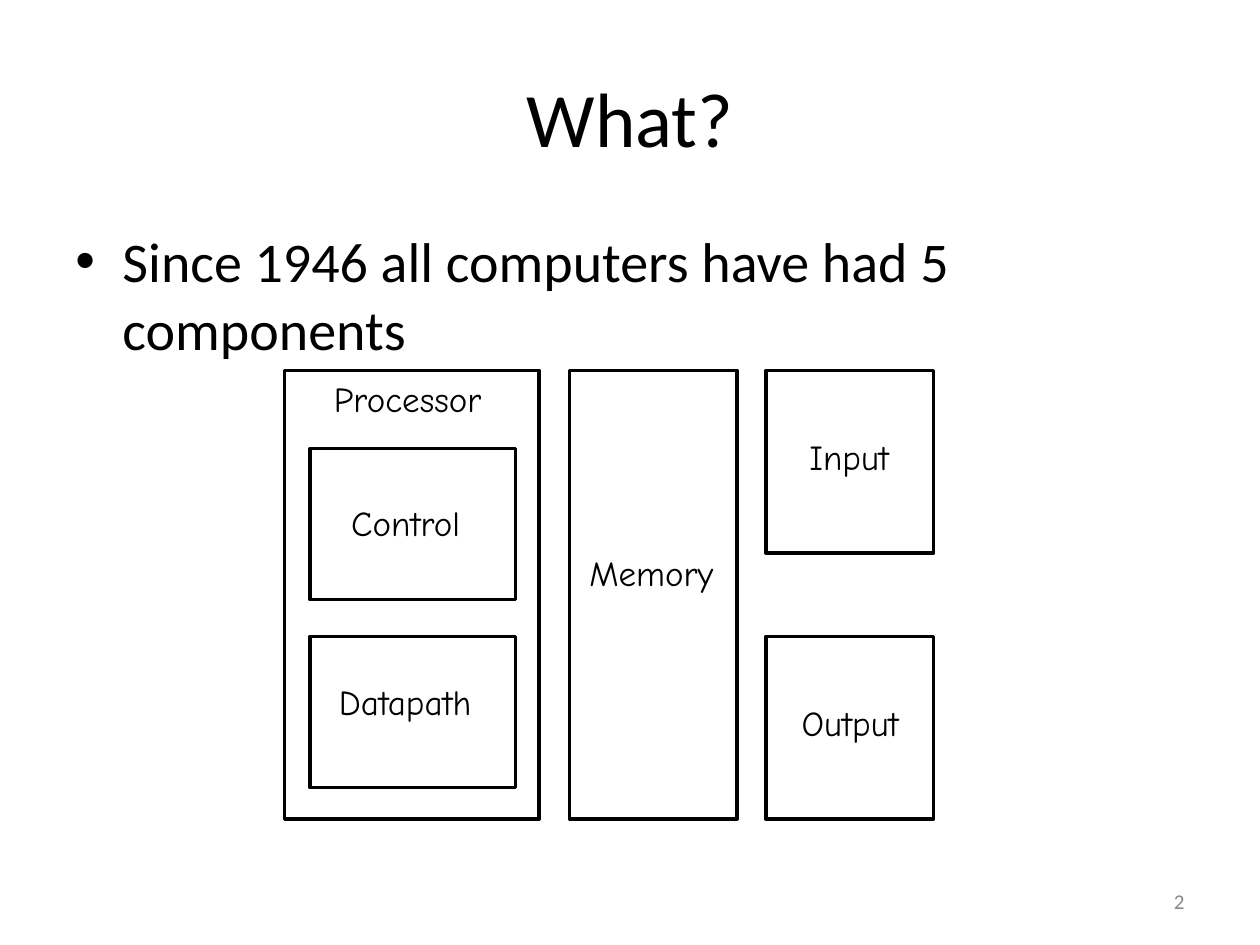
from dataclasses import dataclass

from lxml.etree import SubElement
from pptx import Presentation
from pptx.dml.color import RGBColor
from pptx.enum.shapes import MSO_SHAPE
from pptx.enum.text import MSO_ANCHOR, PP_ALIGN
from pptx.oxml.ns import qn
from pptx.util import Cm, Pt


@dataclass(frozen=True)
class Theme:
    ink: RGBColor = RGBColor(0x00, 0x00, 0x00)
    muted: RGBColor = RGBColor(0x88, 0x88, 0x88)
    text_font: str = "Calibri"
    diagram_font: str = "Comic Neue"
    title_size: Pt = Pt(44)
    body_size: Pt = Pt(32)
    label_size: Pt = Pt(20)
    number_size: Pt = Pt(12)
    outline: Pt = Pt(2)


theme = Theme()
presentation = Presentation()
presentation.slide_width = Cm(25.4)
presentation.slide_height = Cm(19.05)
slide = presentation.slides.add_slide(presentation.slide_layouts[6])


def add_text(text, box, size, font=theme.text_font, color=theme.ink,
             align=PP_ALIGN.LEFT, anchor=MSO_ANCHOR.TOP, bullet=False):
    frame = slide.shapes.add_textbox(*map(Cm, box)).text_frame
    frame.word_wrap = True
    frame.vertical_anchor = anchor
    paragraph = frame.paragraphs[0]
    paragraph.text = text
    paragraph.alignment = align
    if bullet:
        properties = paragraph._p.get_or_add_pPr()
        properties.set("marL", str(Cm(0.95)))
        properties.set("indent", str(-Cm(0.95)))
        SubElement(properties, qn("a:buFont")).set("typeface", "Arial")
        SubElement(properties, qn("a:buChar")).set("char", "•")
    paragraph.font.size = size
    paragraph.font.name = font
    paragraph.font.color.rgb = color


add_text("What?", (1.27, 0.76, 22.86, 3.18), theme.title_size,
         align=PP_ALIGN.CENTER, anchor=MSO_ANCHOR.MIDDLE)
add_text("Since 1946 all computers have had 5 components",
         (1.27, 4.45, 22.86, 12.57), theme.body_size, bullet=True)
add_text("2", (18.21, 17.65, 5.92, 1.02), theme.number_size, color=theme.muted,
         align=PP_ALIGN.RIGHT, anchor=MSO_ANCHOR.MIDDLE)

top, lower_top = 7.47, 12.83
full_height, device_height, unit_height = 9.04, 3.68, 3.05
unit_left, unit_width = 6.25, 4.14
memory_left, device_left, column_width = 11.48, 15.44, 3.38
label_height = 1.09

components = [
    ("Processor", (5.74, top, 5.13, full_height), (6.48, 7.49, 3.89), PP_ALIGN.LEFT),
    ("Control", (unit_left, 9.04, unit_width, unit_height), (6.83, 9.98, 2.9), PP_ALIGN.LEFT),
    ("Datapath", (unit_left, lower_top, unit_width, unit_height), (6.58, 13.59, 3.53), PP_ALIGN.LEFT),
    ("Memory", (memory_left, top, column_width, full_height), (11.63, 11, 3.12), PP_ALIGN.LEFT),
    ("Input", (device_left, top, column_width, device_height), (15.95, 8.66, 2.34), PP_ALIGN.CENTER),
    ("Output", (device_left, lower_top, column_width, device_height), (15.72, 14.02, 2.84), PP_ALIGN.CENTER),
]
for name, box, label_box, align in components:
    shape = slide.shapes.add_shape(MSO_SHAPE.RECTANGLE, *map(Cm, box))
    shape.shadow.inherit = False
    shape.fill.background()
    shape.line.color.rgb = theme.ink
    shape.line.width = theme.outline
    add_text(name, (*label_box, label_height), theme.label_size,
             font=theme.diagram_font, align=align)

presentation.save("out.pptx")
